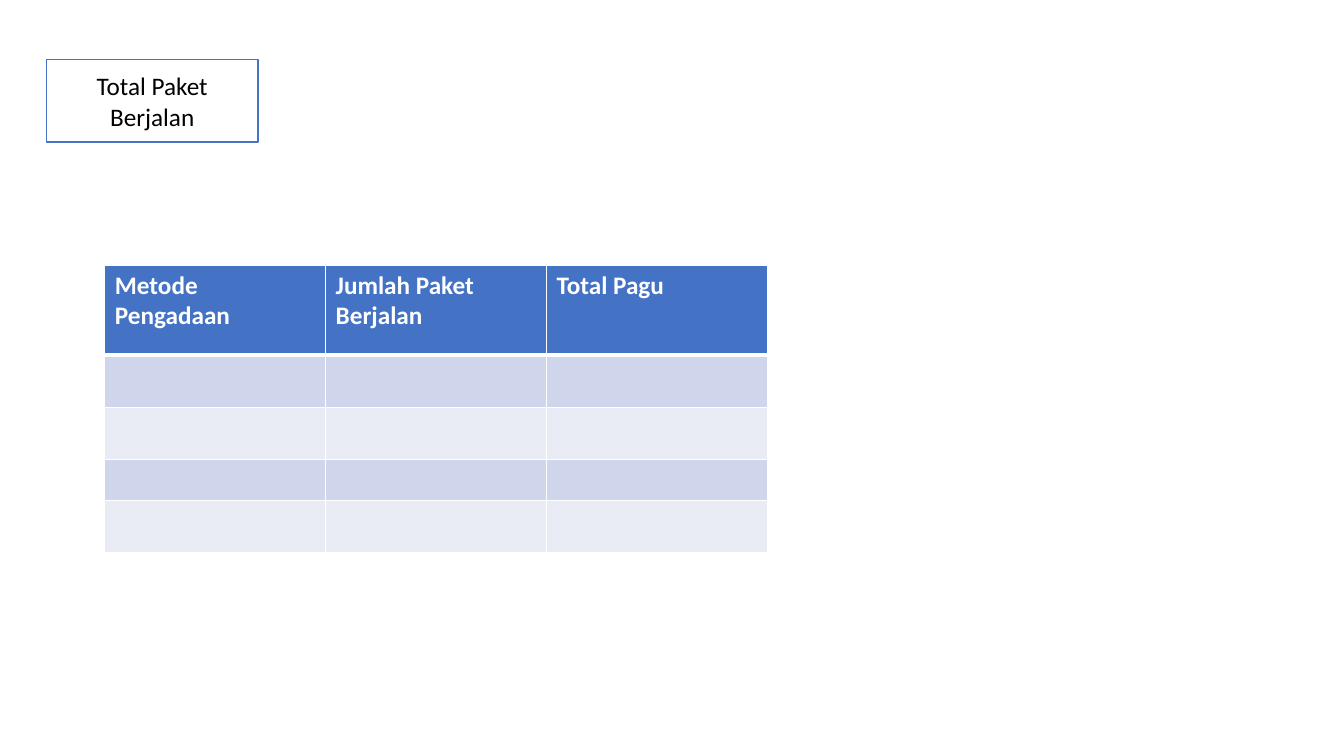
from lxml.etree import SubElement
from pptx import Presentation
from pptx.dml.color import RGBColor as RGB
from pptx.enum.shapes import MSO_SHAPE as SHAPE
from pptx.enum.text import MSO_ANCHOR as ANCHOR, PP_ALIGN as ALIGN
from pptx.oxml.ns import qn
from pptx.util import Inches, Pt

COLORS = {"blue": "4472C4", "white": "FFFFFF", "black": "000000",
          "band_dark": "CFD5EA", "band_light": "E9EBF5"}
HEADERS = ["Metode Pengadaan", "Jumlah Paket Berjalan", "Total Pagu"]
ROW_HEIGHTS = [0.89, 0.52, 0.52, 0.4, 0.52]
COLUMN_WIDTH = 2.19


def write(p, text, color, bold=False):
    r = p.add_run()
    r.text = text
    for name, value in {"name": "Calibri", "size": Pt(18), "bold": bold}.items():
        setattr(r.font, name, value)
    r.font.color.rgb = RGB.from_string(COLORS[color])


def add_border(cell, side, width):
    """Draw a white line on one side (L, R, T or B) of a cell."""
    ln = SubElement(cell._tc.get_or_add_tcPr(), qn(f"a:ln{side}"), w=str(Pt(width)))
    fill = SubElement(ln, qn("a:solidFill"))
    SubElement(fill, qn("a:srgbClr"), val=COLORS["white"])


prs = Presentation()
prs.slide_width, prs.slide_height = Inches(13.33), Inches(7.5)
s = prs.slides.add_slide(prs.slide_layouts[6])

# Total box
sp = s.shapes.add_shape(SHAPE.RECTANGLE, Inches(0.46), Inches(0.59),
                        Inches(2.1), Inches(0.82))
sp.shadow.inherit = False
sp.fill.solid()
sp.fill.fore_color.rgb = RGB.from_string(COLORS["white"])
sp.line.color.rgb = RGB.from_string(COLORS["blue"])
sp.line.width = Pt(1)
tf = sp.text_frame
tf.word_wrap = True
tf.vertical_anchor = ANCHOR.MIDDLE
p = tf.paragraphs[0]
p.alignment = ALIGN.CENTER
write(p, "Total Paket Berjalan", "black")

# Procurement table
table = s.shapes.add_table(
    len(ROW_HEIGHTS), len(HEADERS), Inches(1.04), Inches(2.63),
    Inches(COLUMN_WIDTH * len(HEADERS)), Inches(sum(ROW_HEIGHTS))).table
for column in table.columns:
    column.width = Inches(COLUMN_WIDTH)
for i, height in enumerate(ROW_HEIGHTS):
    table.rows[i].height = Inches(height)
    fill = "blue" if i == 0 else "band_dark" if i % 2 else "band_light"
    for j, header in enumerate(HEADERS):
        cell = table.cell(i, j)
        widths = {"L": 1, "R": 1, "T": 3 if i == 1 else 1, "B": 3 if i == 0 else 1}
        for side, width in widths.items():
            add_border(cell, side, width)
        cell.fill.solid()
        cell.fill.fore_color.rgb = RGB.from_string(COLORS[fill])
        if i == 0:
            write(cell.text_frame.paragraphs[0], header, "white", bold=True)

prs.save("out.pptx")
